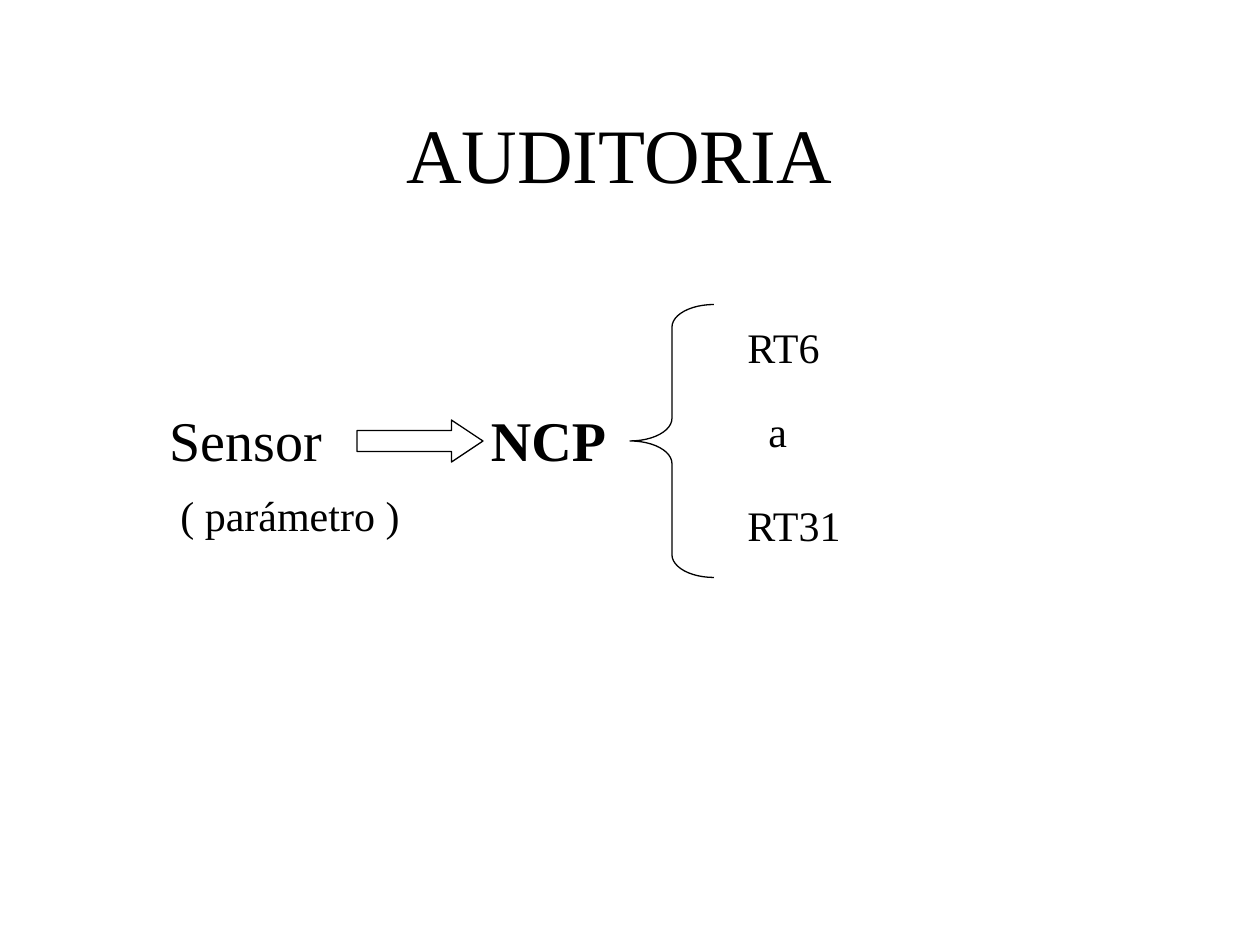
from pptx import Presentation
from pptx.dml.color import RGBColor
from pptx.enum.shapes import MSO_SHAPE as Shape
from pptx.enum.text import MSO_ANCHOR as Anchor, PP_ALIGN as Align
from pptx.oxml.ns import qn
from pptx.util import Pt
from lxml import etree

FONT = "Times New Roman"
BLACK = "000000"
WHITE = "FFFFFF"


def color(hex_string):
    return RGBColor.from_string(hex_string)


def add_tab_stop(paragraph, position):
    tabs = etree.SubElement(paragraph._p.get_or_add_pPr(), qn("a:tabLst"))
    etree.SubElement(tabs, qn("a:tab"), pos=str(Pt(position)), algn="l")


def add_text(slide, box, text, size, align=Align.LEFT, anchor=Anchor.TOP,
             wrap=True, tab=None):
    label = slide.shapes.add_textbox(*map(Pt, box))
    frame = label.text_frame
    frame.word_wrap = wrap
    frame.vertical_anchor = anchor
    paragraph = frame.paragraphs[0]
    if tab:
        add_tab_stop(paragraph, tab)
    paragraph.alignment = align
    paragraph.font.name = FONT
    paragraph.font.size = Pt(size)
    paragraph.font.color.rgb = color(BLACK)
    paragraph.add_run().text = text
    return paragraph


def add_outline(slide, kind, box, adjustments, fill=None):
    outline = slide.shapes.add_shape(kind, *map(Pt, box))
    outline.shadow.inherit = False
    for index, value in enumerate(adjustments):
        outline.adjustments[index] = value
    if fill:
        outline.fill.solid()
        outline.fill.fore_color.rgb = color(fill)
    else:
        outline.fill.background()
    outline.line.color.rgb = color(BLACK)
    outline.line.width = Pt(0.75)


def main():
    deck = Presentation()
    deck.slide_width, deck.slide_height = Pt(720), Pt(540)
    slide = deck.slides.add_slide(deck.slide_layouts[6])

    add_text(slide, (48, 42, 612, 90), "AUDITORIA", 44, Align.CENTER, Anchor.MIDDLE)

    flow = add_text(slide, (90, 228, 504, 138), "Sensor\t", 32, tab=183.5)
    target = flow.add_run()
    target.text = "NCP"
    target.font.bold = True

    add_outline(slide, Shape.LEFT_BRACE, (360, 174, 48, 156), (0.27, 0.5))
    add_outline(slide, Shape.RIGHT_ARROW, (204, 240, 72, 24), (0.5, 0.75), WHITE)

    add_text(slide, (420, 180, 57, 36), "RT6", 24, wrap=False)
    add_text(slide, (432, 228, 36, 36), "a", 24)
    add_text(slide, (420, 282, 69, 36), "RT31", 24, wrap=False)
    add_text(slide, (96, 276, 156, 36), "( parámetro )", 24)

    deck.save("out.pptx")


if __name__ == "__main__":
    main()
